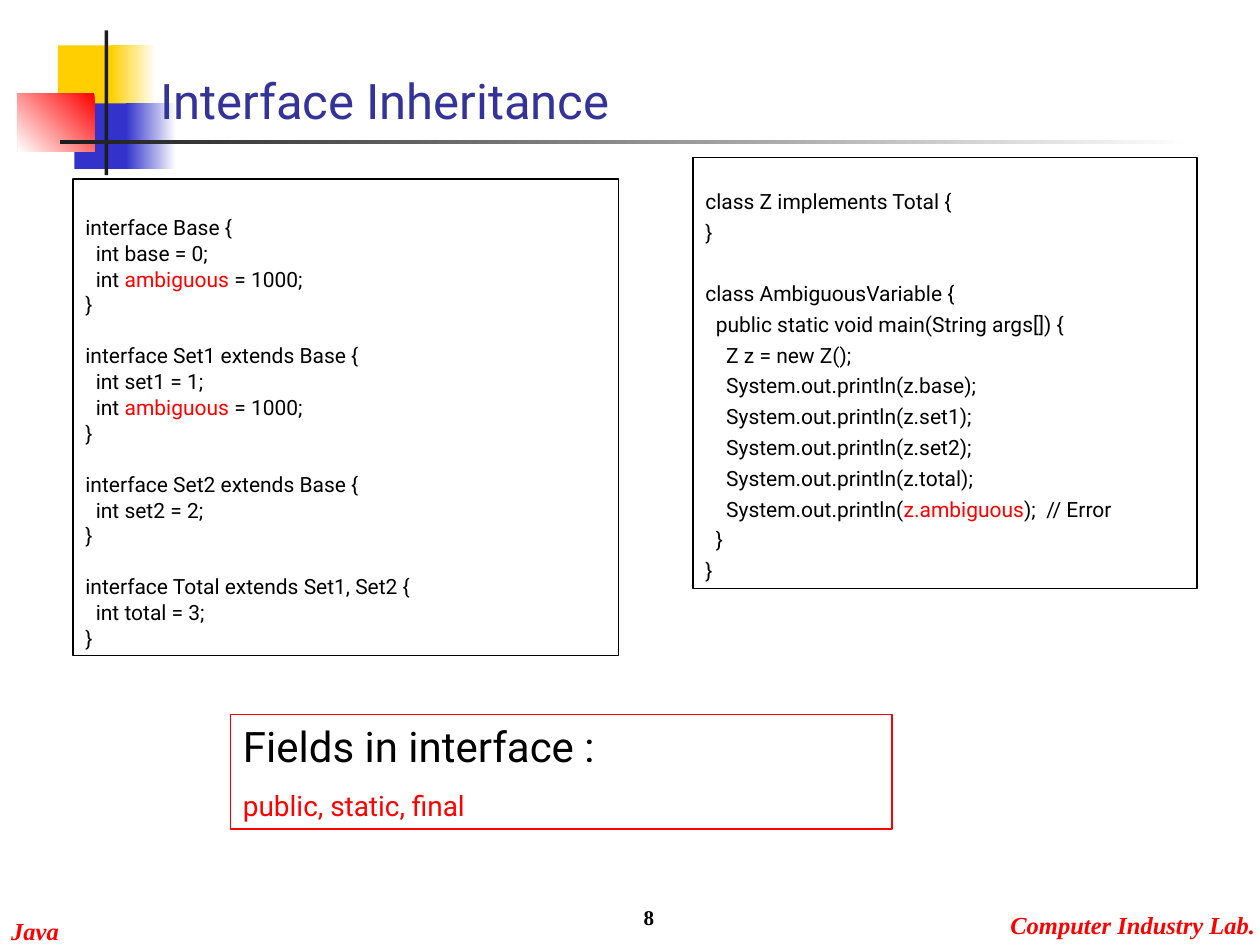
from dataclasses import dataclass

from pptx import Presentation
from pptx.dml.color import RGBColor
from pptx.enum.shapes import MSO_SHAPE
from pptx.enum.text import MSO_ANCHOR, MSO_AUTO_SIZE, PP_ALIGN
from pptx.util import Inches, Pt


@dataclass(frozen=True)
class Theme:
    """Colours, fonts and type sizes of the slide."""
    black: str = "000000"
    white: str = "FFFFFF"
    red: str = "FF0000"
    yellow: str = "FFCF01"
    blue: str = "3333CC"
    rule: str = "1C1C1C"
    heading: str = "333399"
    body: str = "Roboto"
    serif: str = "Times New Roman"
    title_size: int = 28
    lead_size: int = 24
    detail_size: int = 16
    footer_size: int = 14
    code_size: int = 12


T = Theme()
LINE_HEIGHT = 1.17
CODE_SPACE = 7.5

INTERFACES = [
    """interface Base {
  int base = 0;
  int *ambiguous* = 1000;
}""",
    """interface Set1 extends Base {
  int set1 = 1;
  int *ambiguous* = 1000;
}""",
    """interface Set2 extends Base {
  int set2 = 2;
}""",
    """interface Total extends Set1, Set2 {
  int total = 3;
}""",
]
CLASSES = [
    """class Z implements Total {
}""",
    """class AmbiguousVariable {
  public static void main(String args[]) {
    Z z = new Z();
    System.out.println(z.base);
    System.out.println(z.set1);
    System.out.println(z.set2);
    System.out.println(z.total);
    System.out.println(*z.ambiguous*);  // Error
  }
}""",
]


def write(p, text, size=T.code_size, color=T.black, font=T.body, bold=False,
          italic=False, align=PP_ALIGN.LEFT, before=0, spacing=None):
    """Write text into a paragraph, with parts between asterisks in red."""
    p.alignment = align
    p.space_before = Pt(before)
    if spacing:
        p.line_spacing = spacing
    for i, part in enumerate(text.split("*")):
        if part:
            r = p.add_run()
            r.text = part
            f = r.font
            f.size, f.name, f.bold, f.italic = Pt(size), font, bold, italic
            f.color.rgb = RGBColor.from_string(T.red if i % 2 else color)


class Builder:
    """Holds the theme and the current slide and adds elements to it."""

    def __init__(self, s, theme):
        """Keep the slide and its theme."""
        self.s, self.theme = s, theme

    def rect(self, x, y, w, h):
        """Add a rectangle without shadow."""
        sp = self.s.shapes.add_shape(
            MSO_SHAPE.RECTANGLE, Inches(x), Inches(y), Inches(w), Inches(h))
        sp.shadow.inherit = False
        return sp

    def block(self, x, y, w, h, color, fade_to=None, angle=180):
        """Add a borderless block, plain or fading clockwise along angle."""
        sp = self.rect(x, y, w, h)
        sp.line.fill.background()
        if fade_to:
            sp.fill.gradient()
            sp.fill.gradient_angle = 360 - angle
            for stop, c in zip(sp.fill.gradient_stops, (color, fade_to)):
                stop.color.rgb = RGBColor.from_string(c)
        else:
            sp.fill.solid()
            sp.fill.fore_color.rgb = RGBColor.from_string(color)

    def frame(self, x, y, w, h, color, anchor=MSO_ANCHOR.TOP):
        """Add an outlined box and return its text frame."""
        sp = self.rect(x, y, w, h)
        sp.fill.background()
        sp.line.color.rgb = RGBColor.from_string(color)
        sp.line.width = Pt(0.75)
        tf = sp.text_frame
        tf.word_wrap, tf.vertical_anchor = True, anchor
        return tf

    def code(self, x, y, w, h, blocks, spacing):
        """Add a framed listing with one empty line's gap between blocks."""
        tf = self.frame(x, y, w, h, self.theme.black, MSO_ANCHOR.BOTTOM)
        gap = 2 * CODE_SPACE + spacing * LINE_HEIGHT * self.theme.code_size
        for b, text in enumerate(blocks):
            for n, line in enumerate(text.split("\n")):
                first = b == n == 0
                p = tf.paragraphs[0] if first else tf.add_paragraph()
                before = 0 if first else CODE_SPACE if n else gap
                write(p, line, before=before, spacing=spacing)

    def text(self, x, y, w, h, text, wrap=False, anchor=MSO_ANCHOR.TOP,
             right_inset=0.1, **fmt):
        """Add a one-line text box."""
        tb = self.s.shapes.add_textbox(
            Inches(x), Inches(y), Inches(w), Inches(h))
        tf = tb.text_frame
        tf.word_wrap, tf.vertical_anchor = wrap, anchor
        tf.margin_right = Inches(right_inset)
        write(tf.paragraphs[0], text, **fmt)

    def title(self, x, y, w, h, text):
        """Place the title in front of the elements added so far."""
        sp = self.s.shapes.title
        sp.left, sp.top, sp.width, sp.height = map(Inches, (x, y, w, h))
        tf = sp.text_frame
        tf.auto_size = MSO_AUTO_SIZE.NONE
        tf.word_wrap, tf.vertical_anchor = True, MSO_ANCHOR.BOTTOM
        write(tf.paragraphs[0], text, size=self.theme.title_size,
              color=self.theme.heading)
        sp.element.getparent().append(sp.element)


def main():
    """Build the slide and save it."""
    prs = Presentation()
    prs.slide_width, prs.slide_height = Inches(10), Inches(7.5)
    b = Builder(prs.slides.add_slide(prs.slide_layouts[5]), T)

    b.block(0.46, 0.36, 0.48, 0.52, T.yellow)
    b.block(0.88, 0.36, 0.36, 0.52, T.white, T.yellow)
    b.block(0.59, 0.82, 0.46, 0.52, T.blue)
    b.block(1, 0.82, 0.4, 0.52, T.white, T.blue)
    b.block(0.14, 0.74, 0.61, 0.46, T.red, T.white, angle=135)
    b.block(0.83, 0.24, 0.03, 1.15, T.rule)
    b.block(0.48, 1.11, 9, 0.03, T.white, T.rule)

    footer = dict(size=T.footer_size, font=T.serif, color=T.red,
                  bold=True, italic=True, right_inset=0)
    b.text(-0.01, 7.22, 0.58, 0.34, "Java", **footer)
    b.text(7.92, 7.17, 2.08, 0.33, "Computer Industry Lab.", **footer)

    b.title(1.17, 0.5, 4.5, 0.58, "Interface Inheritance")
    b.code(0.58, 1.42, 4.33, 3.78, INTERFACES, spacing=0.5)
    b.code(5.5, 1.25, 4, 3.42, CLASSES, spacing=0.7)

    tf = b.frame(1.83, 5.67, 5.25, 0.91, T.red)
    write(tf.paragraphs[0], "Fields in interface :", size=T.lead_size)
    write(tf.add_paragraph(), "public, static, final", size=T.detail_size,
          color=T.red, before=10)

    b.text(3.21, 6.93, 2.08, 0.5, "8", wrap=True, anchor=MSO_ANCHOR.BOTTOM,
           font=T.serif, bold=True, align=PP_ALIGN.RIGHT)
    prs.save("out.pptx")


if __name__ == "__main__":
    main()
